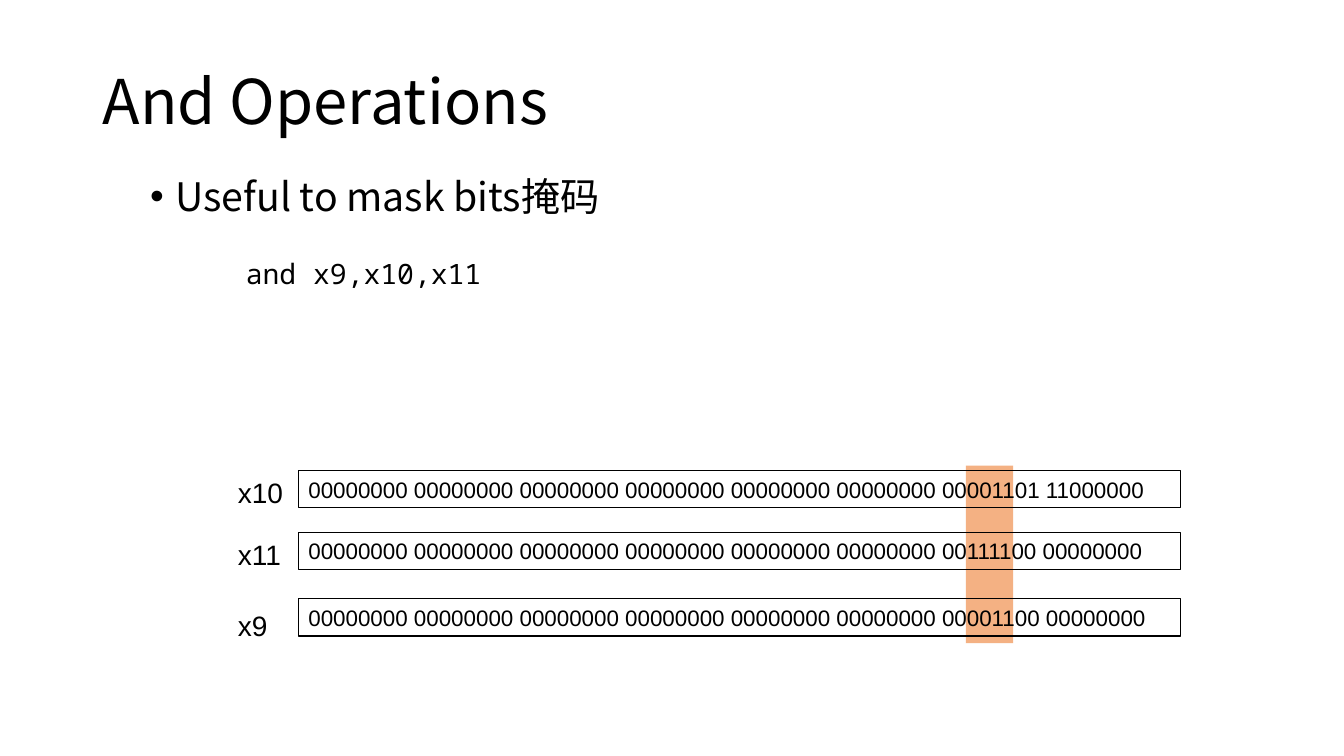
from lxml import etree
from pptx import Presentation
from pptx import util as u
from pptx.dml.color import RGBColor
from pptx.enum import shapes, text
from pptx.oxml.ns import qn

BLACK = RGBColor(0x00, 0x00, 0x00)
ORANGE = RGBColor(0xF4, 0xB1, 0x83)
SANS = "Noto Sans CJK SC"
MONO = "Noto Sans Mono"
ARIAL = "Arial"
ZEROS = "00000000 " * 6
REGISTERS = [
    ("x10", ZEROS + "00001101 11000000", 4.67, 4.67),
    ("x11", ZEROS + "00111100 00000000", 5.28, 5.28),
    ("x9", ZEROS + "00001100 00000000", 5.94, 5.99),
]


def place(sp, left, top, width, height):
    """Move a shape to a box given in inches."""
    sp.left, sp.top = u.Inches(left), u.Inches(top)
    sp.width, sp.height = u.Inches(width), u.Inches(height)


def write(sp, words, size, font, anchor=text.MSO_ANCHOR.TOP, wrap=True):
    """Fill a shape with one left-aligned paragraph and return it."""
    tf = sp.text_frame
    tf.text = words
    tf.word_wrap = wrap
    tf.auto_size = text.MSO_AUTO_SIZE.NONE
    tf.vertical_anchor = anchor
    p = tf.paragraphs[0]
    p.alignment = text.PP_ALIGN.LEFT
    p.space_before = u.Pt(0)
    r = p.runs[0]
    r.font.size = u.Pt(size)
    r.font.name = font
    r.font.color.rgb = BLACK
    etree.SubElement(r.font._element, qn("a:ea")).set("typeface", font)
    return p


def add_title(s, left, top, width, height):
    """Place the slide title."""
    sp = s.shapes.title
    place(sp, left, top, width, height)
    p = write(sp, "And Operations", 44, SANS, text.MSO_ANCHOR.MIDDLE)
    p.line_spacing = 0.9


def add_body(s, left, top, width, height):
    """Place the bulleted body text."""
    sp = s.placeholders[1]
    place(sp, left, top, width, height)
    p = write(sp, "Useful to mask bits掩码", 28, SANS)
    p.line_spacing = 0.9
    pPr = p._p.get_or_add_pPr()
    pPr.set("marL", str(u.Inches(0.25)))
    pPr.set("indent", str(u.Inches(-0.25)))
    etree.SubElement(pPr, qn("a:buFont")).set("typeface", ARIAL)
    etree.SubElement(pPr, qn("a:buChar")).set("char", "•")


def add_label(s, words, font, left, top, width, height=0.44):
    """Add a one-line text box."""
    sp = s.shapes.add_textbox(0, 0, 0, 0)
    place(sp, left, top, width, height)
    write(sp, words, 20, font, wrap=False)


def add_rectangle(s, left, top, width, height):
    """Add a plain rectangle without fill, line or shadow."""
    sp = s.shapes.add_shape(shapes.MSO_SHAPE.RECTANGLE, 0, 0, 0, 0)
    place(sp, left, top, width, height)
    sp.shadow.inherit = False
    sp.fill.background()
    sp.line.fill.background()
    return sp


def add_registers(s, left, top, width, height):
    """Draw the masked bit column and the labelled register rows."""
    mask = add_rectangle(s, left + 7.32, top, 0.47, height)
    mask.fill.solid()
    mask.fill.fore_color.rgb = ORANGE
    for name, bits, row_top, label_top in REGISTERS:
        row = add_rectangle(s, left + 0.7, row_top, width - 0.7, 0.37)
        row.line.color.rgb = BLACK
        row.line.width = u.Pt(0.75)
        write(row, bits, 16, ARIAL)
        add_label(s, name, ARIAL, left, label_top, 0.65)


def main():
    """Build and save the slide."""
    prs = Presentation()
    prs.slide_width, prs.slide_height = u.Inches(13.33), u.Inches(7.5)
    s = prs.slides.add_slide(prs.slide_layouts[1])
    add_title(s, 0.92, 0.31, 11.5, 1.45)
    add_body(s, 1.39, 1.71, 9.18, 5.39)
    add_label(s, "and x9,x10,x11", MONO, 2.34, 2.5, 2.56)
    add_registers(s, 2.26, 4.62, 9.45, 1.76)
    prs.save("out.pptx")


if __name__ == "__main__":
    main()
